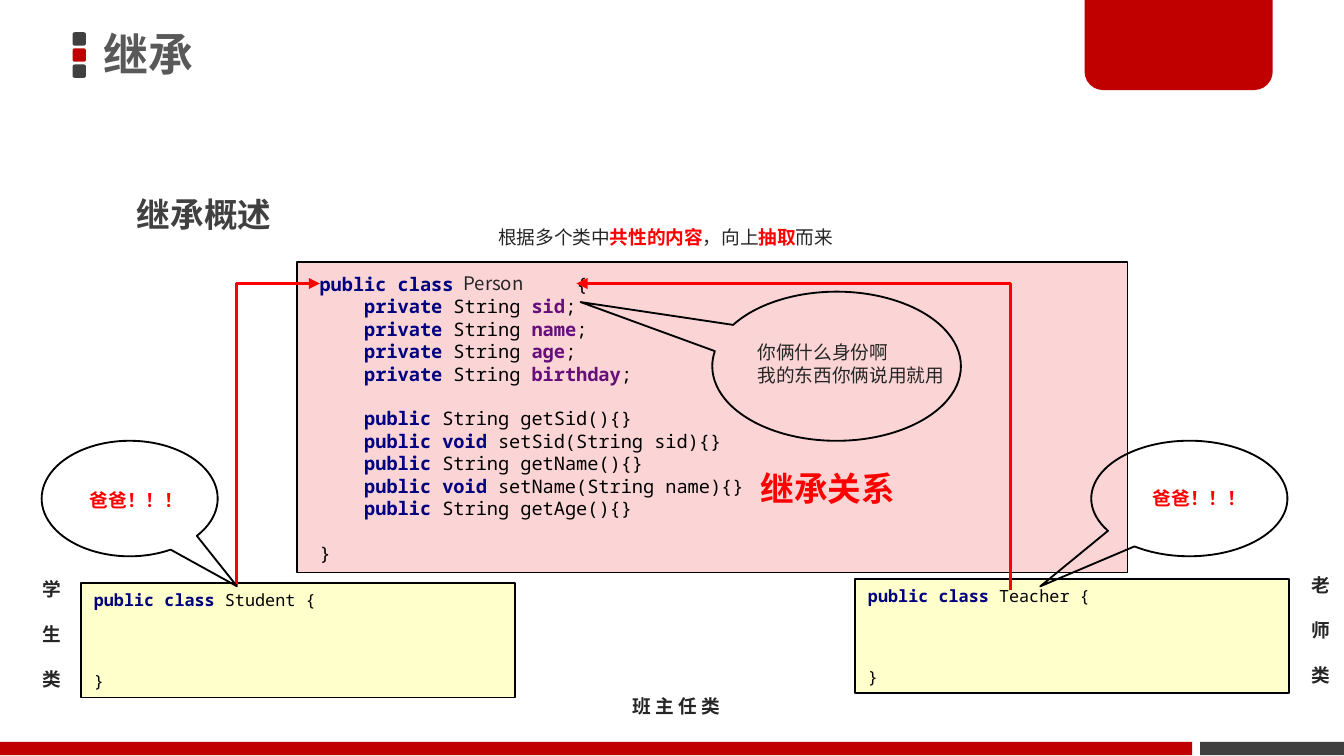
"""Build the slide that explains class inheritance with Person, Student and Teacher."""
from lxml.etree import SubElement
from pptx import Presentation
from pptx.dml.color import RGBColor
from pptx.enum.shapes import MSO_CONNECTOR, MSO_SHAPE
from pptx.enum.text import MSO_ANCHOR, PP_ALIGN
from pptx.oxml.ns import qn
from pptx.util import Inches, Pt

CRIMSON = RGBColor(0xC0, 0x00, 0x00)
RED = RGBColor(0xFF, 0x00, 0x00)
BLACK = RGBColor(0x00, 0x00, 0x00)
INK = RGBColor(0x26, 0x26, 0x26)
CHARCOAL = RGBColor(0x40, 0x40, 0x40)
GRAY = RGBColor(0x59, 0x59, 0x59)
NAVY = RGBColor(0x00, 0x00, 0x80)
PURPLE = RGBColor(0x66, 0x0E, 0x7A)
PINK = RGBColor(0xFB, 0xD5, 0xD5)
CREAM = RGBColor(0xFF, 0xFF, 0xCC)
SANS = "Noto Sans CJK SC"
MONO = "Noto Sans Mono"


def draw_shape(kind, bounds, fill=None, outline=None, adjustments=()):
    shape = page.shapes.add_shape(kind, *map(Inches, bounds))
    shape.shadow.inherit = False
    for index, value in enumerate(adjustments):
        shape.adjustments[index] = value
    if fill is None:
        shape.fill.background()
    else:
        shape.fill.solid()
        shape.fill.fore_color.rgb = fill
    if outline is None:
        shape.line.fill.background()
    else:
        shape.line.color.rgb = outline
        shape.line.width = Pt(1)
    return shape


def write_text(box, lines, size, font=SANS, wrap=True, anchor=MSO_ANCHOR.TOP, spacing=None, tab=None):
    frame = box.text_frame
    frame.word_wrap = wrap
    frame.vertical_anchor = anchor
    for index, (gap, spans) in enumerate(lines):
        paragraph = frame.paragraphs[0] if index == 0 else frame.add_paragraph()
        paragraph.alignment = PP_ALIGN.LEFT
        if spacing:
            paragraph.line_spacing = spacing
        paragraph.space_before = Pt(gap)
        if tab and index == 0:
            tabs = SubElement(paragraph._p.get_or_add_pPr(), qn("a:tabLst"))
            SubElement(tabs, qn("a:tab"), pos=str(Inches(tab)), algn="l")
        for text, color, bold in spans:
            span = paragraph.add_run()
            span.text = text
            span.font.size = Pt(size)
            span.font.bold = bold
            span.font.color.rgb = color
            span.font.name = font
            SubElement(span._r.get_or_add_rPr(), qn("a:ea"), typeface=font)


deck = Presentation()
deck.slide_width = Inches(10)
deck.slide_height = Inches(10 * 9 / 16)
page = deck.slides.add_slide(deck.slide_layouts[5])

for index, color in enumerate((CHARCOAL, CRIMSON, CHARCOAL)):
    draw_shape(MSO_SHAPE.ROUNDED_RECTANGLE, (0.54, 0.24 + 0.12 * index, 0.1, 0.1), color)
draw_shape(MSO_SHAPE.RECTANGLE, (8.93, 5.52, 1.07, 0.1), CHARCOAL)
draw_shape(MSO_SHAPE.ROUND_2_SAME_RECTANGLE, (8.07, -0.02, 1.4, 0.69), CRIMSON, adjustments=(0, 0.2))
draw_shape(MSO_SHAPE.RECTANGLE, (0, 5.52, 8.87, 0.1), CRIMSON)

title = page.shapes.title
title.left, title.top, title.width, title.height = map(Inches, (0.69, -0.02, 5.89, 0.89))
title.text_frame.margin_left = title.text_frame.margin_right = Inches(0.08)
title.text_frame.margin_top = title.text_frame.margin_bottom = Inches(0.04)
write_text(title, [(0, [("继承", GRAY, True)])], 24, anchor=MSO_ANCHOR.MIDDLE, spacing=0.9)

heading = page.shapes.add_textbox(*map(Inches, (0.92, 1.24, 3.84, 0.55)))
write_text(heading, [(0, [("继承概述", CHARCOAL, True)])], 18, spacing=1.5)

for class_name, left, top in (("Student", 0.6, 4.34), ("Teacher", 6.36, 4.31)):
    class_box = draw_shape(MSO_SHAPE.RECTANGLE, (left, top, 3.23, 0.85), CREAM, BLACK)
    write_text(class_box, [
        (0, [("public class ", NAVY, True), (f"{class_name} {{", BLACK, False)]),
        (32.5, [("}", BLACK, False)]),
    ], 9, MONO)

for characters, left, top, width in (("学生类", 0.22, 4.25, 1.05), ("老师类", 9.66, 4.22, 0.39)):
    side_label = page.shapes.add_textbox(*map(Inches, (left, top, width, 0.94)))
    write_text(side_label, [
        (12 if index else 0, [(character, INK, True)]) for index, character in enumerate(characters)
    ], 10)

adviser_label = page.shapes.add_textbox(*map(Inches, (4.61, 5.12, 1.02, 0.27)))
write_text(adviser_label, [(0, [("班 主 任 类", INK, True)])], 10)

draw_shape(MSO_SHAPE.RECTANGLE, (2.21, 1.95, 6.18, 2.31), PINK, BLACK)

caption = page.shapes.add_textbox(*map(Inches, (3.61, 1.63, 2.69, 0.27)))
write_text(caption, [(0, [
    ("根据多个类中", INK, False), ("共性的内容", RED, True), ("，向上", INK, False),
    ("抽取", RED, True), ("而来", INK, False),
])], 10, wrap=False)

code_lines = [(0, [("public class\t", NAVY, True), ("{", BLACK, False)])]
for field in ("sid", "name", "age", "birthday"):
    code_lines.append((0, [
        ("    private ", NAVY, True), ("String ", BLACK, False),
        (field, PURPLE, True), (";", BLACK, False),
    ]))
for index, (keywords, signature) in enumerate((
    ("public ", "String getSid(){}"),
    ("public void ", "setSid(String sid){}"),
    ("public ", "String getName(){}"),
    ("public void ", "setName(String name){}"),
    ("public ", "String getAge(){}"),
)):
    code_lines.append((0 if index else 12, [("    " + keywords, NAVY, True), (signature, BLACK, False)]))
code_lines.append((12, [("}", BLACK, False)]))
person_code = page.shapes.add_textbox(*map(Inches, (2.28, 1.98, 4.03, 2.27)))
write_text(person_code, code_lines, 10, MONO, tab=1.91)

for route in ((1.76, 4.35, 2.38, 2.11), (7.52, 4.39, 4.29, 2.11)):
    arrow = page.shapes.add_connector(MSO_CONNECTOR.ELBOW, *map(Inches, route))
    arrow.line.color.rgb = RED
    arrow.line.width = Pt(1.5)
    SubElement(arrow.line._get_or_add_ln(), qn("a:tailEnd"), type="triangle")
    properties = arrow._element.spPr
    SubElement(properties, qn("a:effectLst"))
    bends = properties.find(qn("a:prstGeom")).get_or_add_avLst()
    SubElement(bends, qn("a:gd"), name="adj1", fmla="val 10")

for bounds, pointer in (
    ((5.3, 2.17, 1.85, 1.11), (-1.03, -0.43)),
    ((0.31, 3.28, 1.31, 0.86), (0.61, 0.76)),
    ((8.12, 3.28, 1.46, 0.86), (-0.76, 0.76)),
):
    draw_shape(MSO_SHAPE.OVAL_CALLOUT, bounds, outline=BLACK, adjustments=pointer)

for bounds, texts, size, color, bold in (
    ((5.54, 2.49, 1.58, 0.44), ("你俩什么身份啊", "我的东西你俩说用就用"), 10, INK, False),
    ((0.57, 3.59, 0.89, 0.27), ("爸爸！！！",), 10, RED, True),
    ((8.48, 3.57, 0.89, 0.27), ("爸爸！！！",), 10, RED, True),
    ((5.56, 3.43, 1.2, 0.4), ("继承关系",), 18, RED, True),
    ((3.35, 1.97, 0.65, 0.27), ("Person",), 10, INK, False),
):
    remark = page.shapes.add_textbox(*map(Inches, bounds))
    write_text(remark, [(0, [(text, color, bold)]) for text in texts], size, wrap=False)

deck.save("out.pptx")
